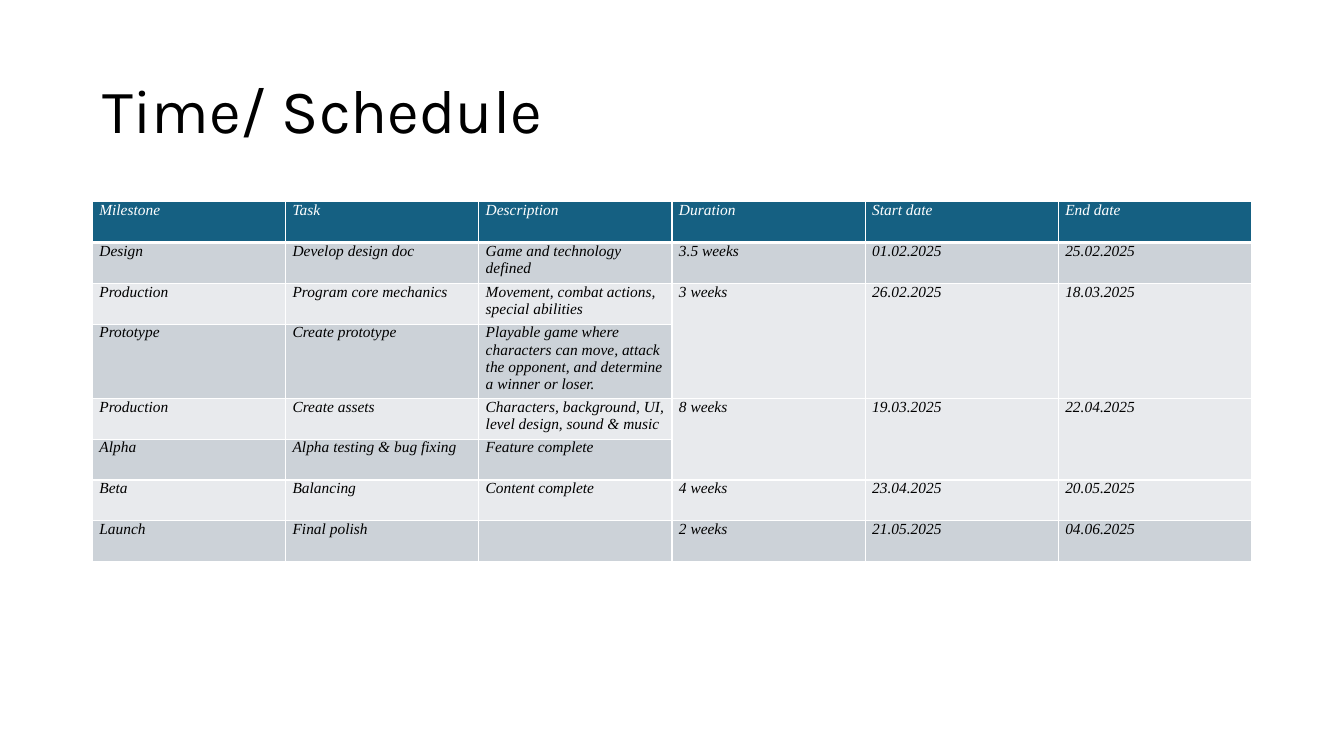
from lxml.etree import SubElement
from pptx import Presentation
from pptx.dml.color import RGBColor
from pptx.enum.text import MSO_ANCHOR
from pptx.oxml.ns import qn
from pptx.util import Pt


def color(code):
    return RGBColor.from_string(code)


def write(frame, text, font="Times New Roman", size=11, ink="000000", italic=True, spacing=1.0):
    para = frame.paragraphs[0]
    para.line_spacing = spacing
    span = para.add_run()
    span.text = text
    span.font.name = font
    span.font.size = Pt(size)
    span.font.italic = italic
    span.font.color.rgb = color(ink)


deck = Presentation()
deck.slide_width, deck.slide_height = Pt(960), Pt(540)
page = deck.slides.add_slide(deck.slide_layouts[6])

# Title
box = page.shapes.add_textbox(Pt(66), Pt(28.75), Pt(828), Pt(104.4))
box.text_frame.word_wrap = True
box.text_frame.vertical_anchor = MSO_ANCHOR.MIDDLE
write(box.text_frame, "Time/ Schedule", font="Karla", size=44, italic=False, spacing=0.9)

# Schedule; None continues the cell above
schedule = [
    ["Milestone", "Task", "Description", "Duration", "Start date", "End date"],
    ["Design", "Develop design doc", "Game and technology defined",
     "3.5 weeks", "01.02.2025", "25.02.2025"],
    ["Production", "Program core mechanics", "Movement, combat actions, special abilities",
     "3 weeks", "26.02.2025", "18.03.2025"],
    ["Prototype", "Create prototype",
     "Playable game where characters can move, attack the opponent, "
     "and determine a winner or loser.", None, None, None],
    ["Production", "Create assets", "Characters, background, UI, level design, sound & music",
     "8 weeks", "19.03.2025", "22.04.2025"],
    ["Alpha", "Alpha testing & bug fixing", "Feature complete", None, None, None],
    ["Beta", "Balancing", "Content complete", "4 weeks", "23.04.2025", "20.05.2025"],
    ["Launch", "Final polish", "", "2 weeks", "21.05.2025", "04.06.2025"],
]
row_height = 29.2
table = page.shapes.add_table(len(schedule), 6, Pt(66), Pt(144), Pt(828),
                              Pt(row_height * len(schedule))).table
table.first_row = False
table.horz_banding = False
for column in table.columns:
    column.width = Pt(138)

for r, entries in enumerate(schedule):
    table.rows[r].height = Pt(row_height)
    for c, entry in enumerate(entries):
        cell = table.cell(r, c)
        cell.margin_left = cell.margin_right = Pt(5)
        cell.margin_top = cell.margin_bottom = 0

        # White borders, heavier under the header
        for side in ("lnL", "lnR", "lnT", "lnB"):
            heavy = (r, side) in ((0, "lnB"), (1, "lnT"))
            border = SubElement(cell._tc.get_or_add_tcPr(), qn(f"a:{side}"),
                                w=str(Pt(3 if heavy else 1)))
            paint = SubElement(border, qn("a:solidFill"))
            SubElement(paint, qn("a:srgbClr"), val="FFFFFF")

        banding = "CCD2D8" if r % 2 else "E8EAED"
        cell.fill.solid()
        cell.fill.fore_color.rgb = color("156082" if r == 0 else banding)
        if entry is None:
            table.cell(r - 1, c).merge(cell)
        elif entry:
            write(cell.text_frame, entry, ink="FFFFFF" if r == 0 else "000000")

deck.save("out.pptx")
